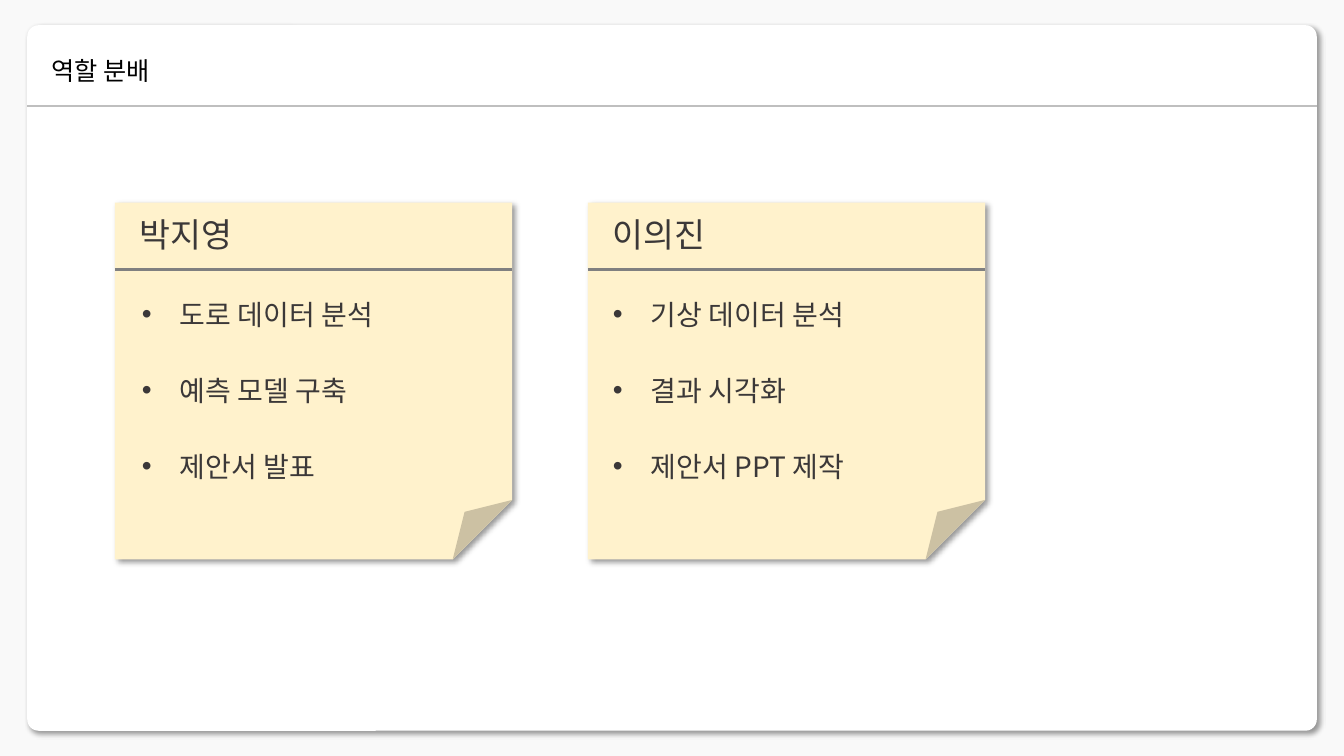
from lxml import etree
from pptx import Presentation
from pptx.dml.color import RGBColor
from pptx.enum.shapes import MSO_CONNECTOR, MSO_SHAPE
from pptx.enum.text import MSO_AUTO_SIZE
from pptx.oxml.ns import qn
from pptx.util import Inches, Pt

ROUND = MSO_SHAPE.ROUNDED_RECTANGLE
FOLDED = MSO_SHAPE.FOLDED_CORNER
STRAIGHT = MSO_CONNECTOR.STRAIGHT
FIT = MSO_AUTO_SIZE.SHAPE_TO_FIT_TEXT

BACK = RGBColor(0xF9, 0xF9, 0xF9)
WHITE = RGBColor(0xFF, 0xFF, 0xFF)
BLACK = RGBColor(0x00, 0x00, 0x00)
CREAM = RGBColor(0xFF, 0xF2, 0xCC)
INK = RGBColor(0x3B, 0x38, 0x38)
GREY = RGBColor(0x80, 0x80, 0x80)
SILVER = RGBColor(0xBF, 0xBF, 0xBF)
FONT = "Noto Sans CJK KR"

WIDE, HIGH = 13.33, 7.5
EDGE, TOP = 0.27, 0.25
PANEL = WIDE - 2 * EDGE
NOTE_X, NOTE_Y, NOTE_W, NOTE_H = 1.14, 2.01, 3.94, 3.54
COL = 4.69  # from one note to the next
ROW = 0.755  # from one task to the next
INDENT = 0.375

# name, left of the tasks, then each task with its box width
NOTES = [
    ("박지영", 1.31,
     [("도로 데이터 분석", 2.58), ("예측 모델 구축", 2.32), ("제안서 발표", 1.98)]),
    ("이의진", 5.98,
     [("기상 데이터 분석", 2.58), ("결과 시각화", 1.98), ("제안서 PPT 제작", 2.64)]),
]


def add_shadow(shape):
    shape.shadow.inherit = False
    effects = shape._element.spPr.find(qn("a:effectLst"))
    outer = etree.SubElement(effects, qn("a:outerShdw"), blurRad=str(Pt(4)),
                             dist=str(Pt(3)), dir="2700000", algn="tl",
                             rotWithShape="0")
    tone = etree.SubElement(outer, qn("a:srgbClr"), val="000000")
    etree.SubElement(tone, qn("a:alpha"), val="40000")


def add_card(slide, kind, x, y, w, h, fill):
    card = slide.shapes.add_shape(kind, Inches(x), Inches(y), Inches(w), Inches(h))
    card.fill.solid()
    card.fill.fore_color.rgb = fill
    card.line.fill.background()
    add_shadow(card)
    return card


def add_rule(slide, x, y, w, color, width):
    rule = slide.shapes.add_connector(STRAIGHT, Inches(x), Inches(y),
                                      Inches(x + w), Inches(y))
    rule.line.color.rgb = color
    rule.line.width = Pt(width)
    etree.SubElement(rule._element.spPr, qn("a:effectLst"))


def add_text(slide, text, x, y, w, h, size, color, bullet=False):
    box = slide.shapes.add_textbox(Inches(x), Inches(y), Inches(w), Inches(h))
    frame = box.text_frame
    frame.word_wrap = False
    frame.auto_size = FIT
    frame.text = text
    para = frame.paragraphs[0]
    if bullet:
        props = para._p.get_or_add_pPr()
        props.set("marL", str(Inches(INDENT)))
        props.set("indent", str(-Inches(INDENT)))
        etree.SubElement(props, qn("a:buFont"), typeface="Arial")
        etree.SubElement(props, qn("a:buChar"), char="•")
    run = para.runs[0]
    run.font.size = Pt(size)
    run.font.color.rgb = color
    run.font.name = FONT
    etree.SubElement(run._r.get_or_add_rPr(), qn("a:ea"), typeface=FONT)


def add_note(slide, x, name, left, tasks):
    add_card(slide, FOLDED, x, NOTE_Y, NOTE_W, NOTE_H, CREAM)
    add_text(slide, name, x + 0.15, NOTE_Y + 0.06, 1.16, 0.5, 24, INK)
    add_rule(slide, x, NOTE_Y + 0.66, NOTE_W, GREY, 2.25)
    for row, (task, width) in enumerate(tasks):
        add_text(slide, task, left, 2.9 + row * ROW, width, 0.44, 20, INK,
                 bullet=True)


def main():
    deck = Presentation()
    deck.slide_width, deck.slide_height = Inches(WIDE), Inches(HIGH)
    slide = deck.slides.add_slide(deck.slide_layouts[6])
    slide.background.fill.solid()
    slide.background.fill.fore_color.rgb = BACK

    panel = add_card(slide, ROUND, EDGE, TOP, PANEL, HIGH - 2 * TOP, WHITE)
    panel.adjustments[0] = 0.016
    add_text(slide, "역할 분배", 0.41, 0.5, 1.23, 0.4, 18, BLACK)
    add_rule(slide, EDGE, 1.05, PANEL, SILVER, 1.25)
    for col, note in enumerate(NOTES):
        add_note(slide, NOTE_X + col * COL, *note)
    deck.save("out.pptx")


if __name__ == "__main__":
    main()
